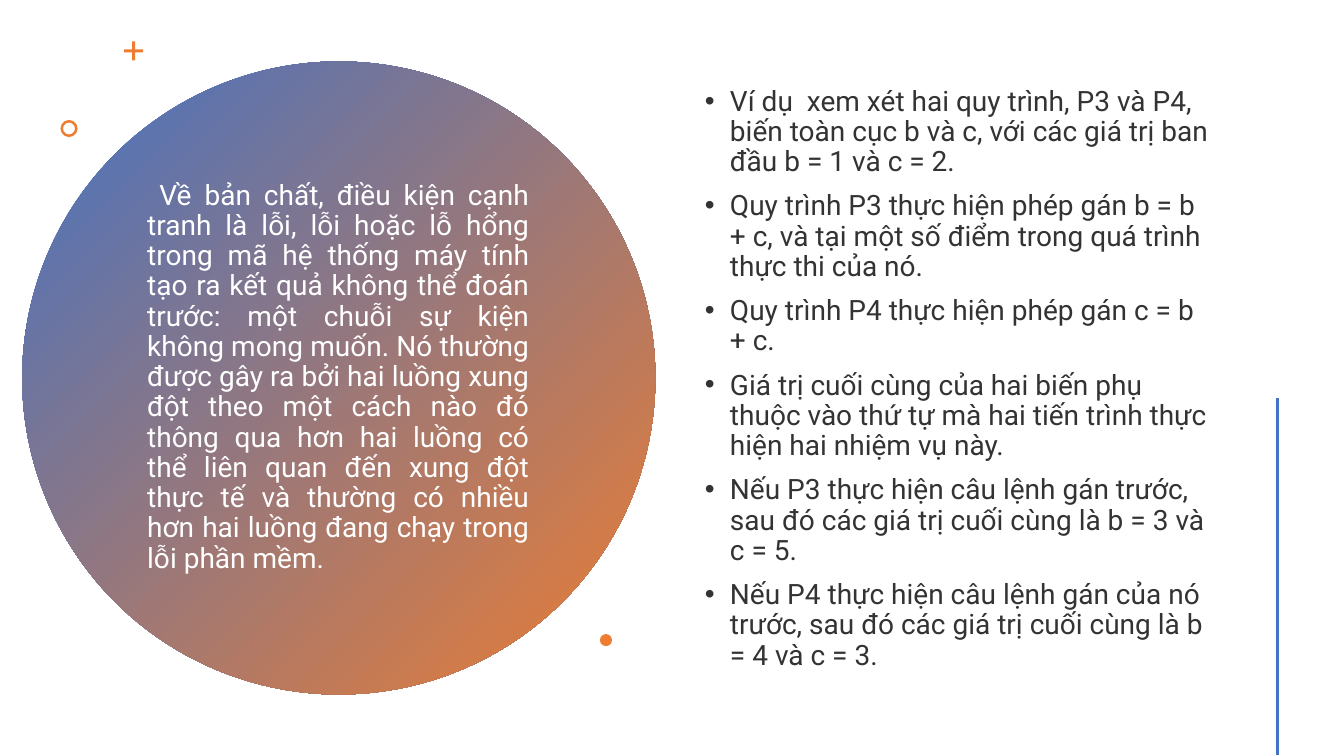
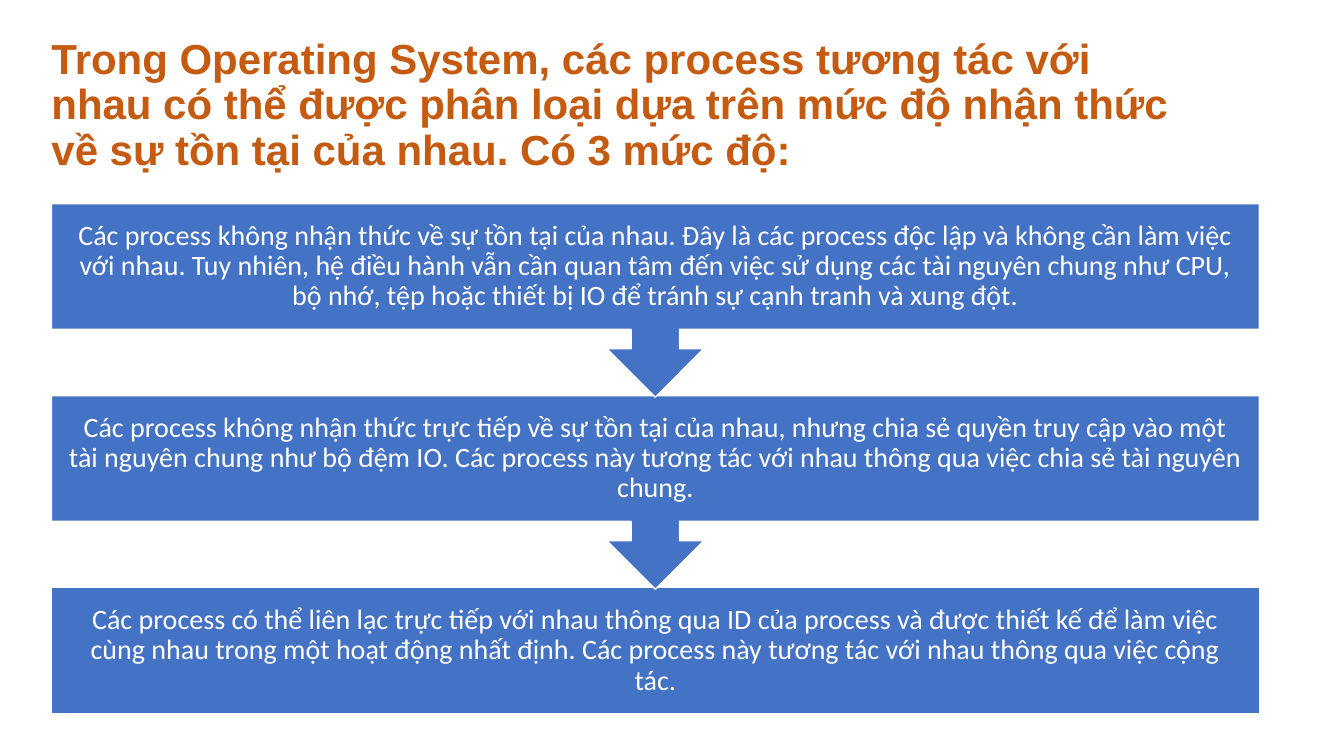
from lxml import etree
from pptx import Presentation
from pptx.dml.color import RGBColor
from pptx.enum import shapes, text
from pptx.oxml import ns
from pptx.util import Inches, Pt

COLORS = {"blue": "4472C4", "orange": "ED7D31", "rust": "C55A11", "ink": "333333", "white": "FFFFFF"}
SHAPE = shapes.MSO_SHAPE
ALIGN = text.PP_ALIGN

DEFINITION = (
    "Về bản chất, điều kiện cạnh tranh là lỗi, lỗi hoặc lỗ hổng trong mã hệ thống máy tính "
    "tạo ra kết quả không thể đoán trước: một chuỗi sự kiện không mong muốn. Nó thường được "
    "gây ra bởi hai luồng xung đột theo một cách nào đó thông qua hơn hai luồng có thể liên "
    "quan đến xung đột thực tế và thường có nhiều hơn hai luồng đang chạy trong lỗi phần mềm."
)
EXAMPLE = [
    "Ví dụ  xem xét hai quy trình, P3 và P4, biến toàn cục b và c, với các giá trị ban đầu b = 1 và c = 2.",
    "Quy trình P3 thực hiện phép gán b = b + c, và tại một số điểm trong quá trình thực thi của nó.",
    "Quy trình P4 thực hiện phép gán c = b + c.",
    "Giá trị cuối cùng của hai biến phụ thuộc vào thứ tự mà hai tiến trình thực hiện hai nhiệm vụ này.",
    "Nếu P3 thực hiện câu lệnh gán trước, sau đó các giá trị cuối cùng là b = 3 và c = 5.",
    "Nếu P4 thực hiện câu lệnh gán của nó trước, sau đó các giá trị cuối cùng là b = 4 và c = 3.",
]
ORNAMENTS = [
    (SHAPE.CROSS, 1.23, 0.41, 0.19, 0.42),
    (SHAPE.DONUT, 0.6, 1.19, 0.17, 0.15),
    (SHAPE.OVAL, 5.95, 6.29, 0.12, None),
]
LEVELS_TITLE = (
    "Trong Operating System, các process tương tác với nhau có thể được phân loại "
    "dựa trên mức độ nhận thức về sự tồn tại của nhau. Có 3 mức độ:"
)
LEVELS = [
    "Các process không nhận thức về sự tồn tại của nhau. Đây là các process độc lập và không cần "
    "làm việc với nhau. Tuy nhiên, hệ điều hành vẫn cần quan tâm đến việc sử dụng các tài nguyên "
    "chung như CPU, bộ nhớ, tệp hoặc thiết bị IO để tránh sự cạnh tranh và xung đột.",
    "Các process không nhận thức trực tiếp về sự tồn tại của nhau, nhưng chia sẻ quyền truy cập "
    "vào một tài nguyên chung như bộ đệm IO. Các process này tương tác với nhau thông qua việc "
    "chia sẻ tài nguyên chung.",
    "Các process có thể liên lạc trực tiếp với nhau thông qua ID của process và được thiết kế để "
    "làm việc cùng nhau trong một hoạt động nhất định. Các process này tương tác với nhau thông "
    "qua việc cộng tác.",
]
LEVEL_LEFT, LEVEL_TOP, LEVEL_WIDTH = 0.51, 2.02, 11.98
LEVEL_STEP, BAR_HEIGHT, CALLOUT_HEIGHT = 1.905, 1.25, 1.92


def rgb(name):
    return RGBColor.from_string(COLORS[name])


def place(box, left, top, width, height):
    box.left, box.top, box.width, box.height = map(Inches, (left, top, width, height))


def setup_frame(box, inset=None):
    frame = box.text_frame
    frame.word_wrap = True
    frame.auto_size = text.MSO_AUTO_SIZE.NONE
    frame.vertical_anchor = text.MSO_ANCHOR.MIDDLE
    if inset is not None:
        frame.margin_left = frame.margin_right = Inches(inset)
        frame.margin_top = frame.margin_bottom = Inches(inset)
    return frame


def format_para(para, align, before=0):
    para.alignment = align
    para.line_spacing = 0.9
    para.space_before = Pt(before)


def add_span(para, words, font, size, color, bold=False):
    span = para.add_run()
    span.text = words
    span.font.name = font
    span.font.size = Pt(size)
    span.font.bold = bold
    span.font.color.rgb = rgb(color)


def add_shape(page, kind, left, top, width, height, fill, outline=None):
    shape = page.shapes.add_shape(kind, *map(Inches, (left, top, width, height)))
    shape.shadow.inherit = False
    shape.fill.solid()
    shape.fill.fore_color.rgb = rgb(fill)
    if outline:
        shape.line.color.rgb = rgb(outline)
        shape.line.width = Pt(1)
    else:
        shape.line.fill.background()
    return shape


def add_bullet(para):
    settings = para._p.get_or_add_pPr()
    settings.set("marL", str(Inches(0.25)))
    settings.set("indent", str(-Inches(0.25)))
    etree.SubElement(settings, ns.qn("a:buFont")).set("typeface", "Arial")
    etree.SubElement(settings, ns.qn("a:buChar")).set("char", "•")


def build_definition(deck):
    page = deck.slides.add_slide(deck.slide_layouts[1])
    title, body = page.shapes.title, page.placeholders[1]

    circle = add_shape(page, SHAPE.OVAL, 0.22, 0.61, 6.28, 6.28, "blue")
    circle.fill.gradient()
    circle.fill.gradient_angle = 315
    for stop, color in zip(circle.fill.gradient_stops, ("blue", "orange")):
        stop.color.rgb = rgb(color)
    title._element.addprevious(circle._element)

    place(title, 1.36, 1.41, 3.99, 4.67)
    para = setup_frame(title).paragraphs[0]
    format_para(para, ALIGN.JUSTIFY)
    add_span(para, " ", "Roboto", 18, "white")
    add_span(para, DEFINITION, "Roboto", 20, "white")

    place(body, 6.89, 0.57, 5.22, 6.38)
    frame = setup_frame(body)
    for index, words in enumerate(EXAMPLE):
        para = frame.add_paragraph() if index else frame.paragraphs[0]
        format_para(para, ALIGN.LEFT, before=10)
        add_bullet(para)
        add_span(para, words, "Roboto", 20, "ink")

    for kind, left, top, size, adjustment in ORNAMENTS:
        ornament = add_shape(page, kind, left, top, size, size, "orange")
        if adjustment is not None:
            ornament.adjustments[0] = adjustment

    rule = page.shapes.add_connector(
        shapes.MSO_CONNECTOR.STRAIGHT, *map(Inches, (12.67, 3.95, 12.67, 7.49)))
    rule.line.color.rgb = rgb("blue")
    rule.line.width = Pt(2)
    etree.SubElement(rule._element.spPr, ns.qn("a:effectLst"))


def build_levels(deck):
    page = deck.slides.add_slide(deck.slide_layouts[5])
    title = page.shapes.title
    place(title, 0.41, 0.33, 11.5, 1.45)
    para = setup_frame(title).paragraphs[0]
    format_para(para, ALIGN.LEFT)
    add_span(para, LEVELS_TITLE, "Arial", 30, "rust", bold=True)

    last = len(LEVELS) - 1
    for index, words in reversed(list(enumerate(LEVELS))):
        kind, height = ((SHAPE.RECTANGLE, BAR_HEIGHT) if index == last
                        else (SHAPE.DOWN_ARROW_CALLOUT, CALLOUT_HEIGHT))
        bar = add_shape(page, kind, LEVEL_LEFT, LEVEL_TOP + index * LEVEL_STEP,
                        LEVEL_WIDTH, height, "blue", "white")
        para = setup_frame(bar, inset=0.16).paragraphs[0]
        format_para(para, ALIGN.CENTER)
        add_span(para, words, "Calibri", 20, "white")


deck = Presentation()
deck.slide_width, deck.slide_height = Inches(13.33), Inches(7.5)
build_definition(deck)
build_levels(deck)
deck.save("out.pptx")
